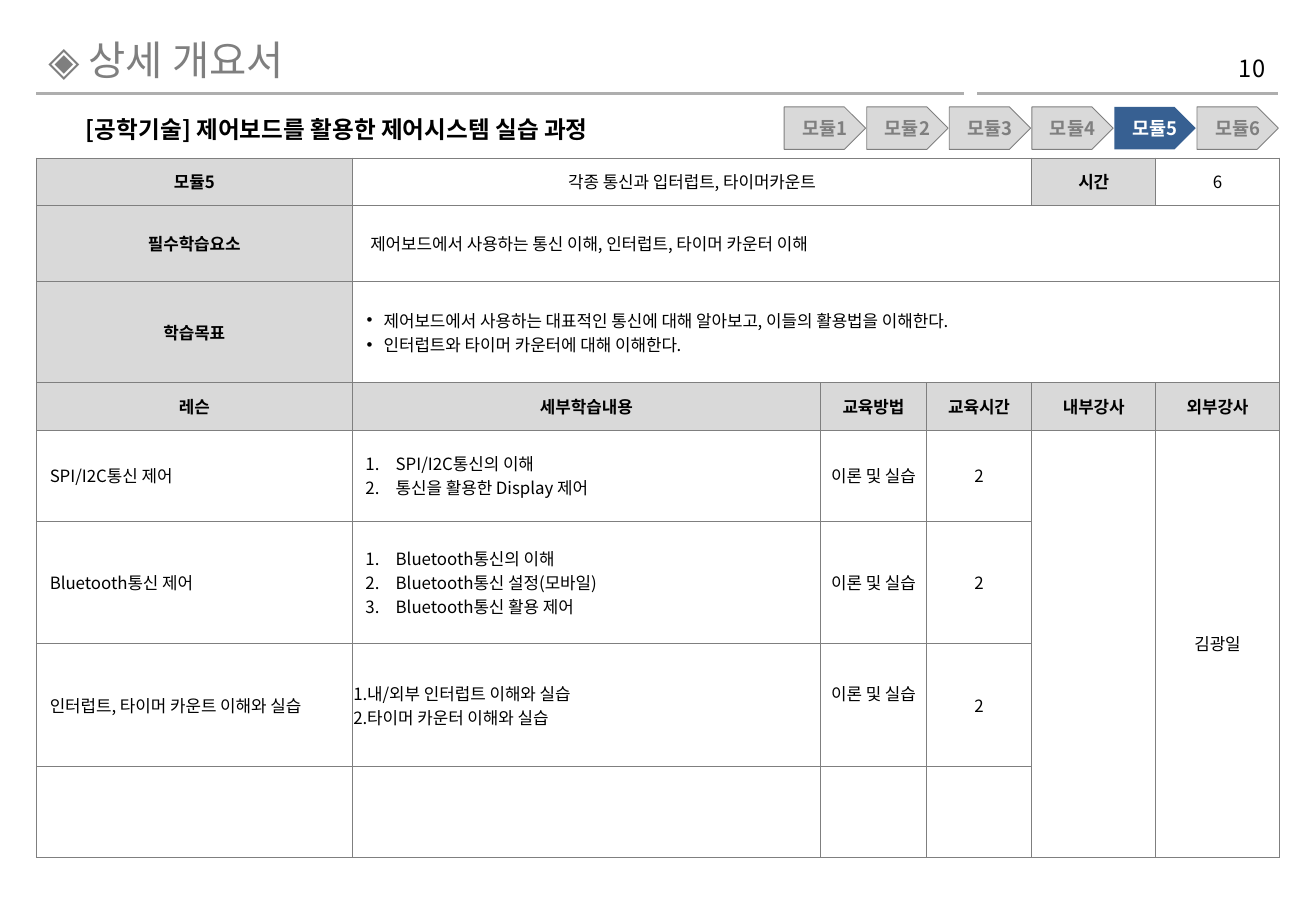
from lxml.etree import SubElement
from pptx import Presentation
from pptx.dml.color import RGBColor
from pptx.enum.shapes import MSO_CONNECTOR, MSO_SHAPE
from pptx.enum.text import MSO_ANCHOR, PP_ALIGN
from pptx.oxml.ns import qn
from pptx.util import Inches, Pt

FONT = "Noto Sans CJK KR"
BLACK, WHITE, GRAY, LIGHT, BLUE = "000000", "FFFFFF", "7F7F7F", "D9D9D9", "376092"
COLS = [2.6, 3.86, 0.87, 0.87, 1.02, 1.02]
ROWS = [0.39, 0.63, 0.83, 0.39, 0.75, 1.01, 1.01, 0.75]
MERGES = [(0, 1, 0, 3), (1, 1, 1, 5), (2, 1, 2, 5), (4, 4, 7, 4), (4, 5, 7, 5)]
INDENTS = {"plain": (0.1, 0), "element": (0.14, 0), "bullet": (0.25, -0.14),
           "number": (0.35, -0.25), "tight": (0, 0)}
METHOD = "이론 및 실습"
CELLS = [
    (0, 0, "head", ["모듈5"]),
    (0, 1, "center", ["각종 통신과 입터럽트, 타이머카운트"]),
    (0, 4, "head", ["시간"]),
    (0, 5, "center", ["6"]),
    (1, 0, "head", ["필수학습요소"]),
    (1, 1, "element", ["제어보드에서 사용하는 통신 이해, 인터럽트, 타이머 카운터 이해"]),
    (2, 0, "head", ["학습목표"]),
    (2, 1, "bullet", ["제어보드에서 사용하는 대표적인 통신에 대해 알아보고, 이들의 활용법을 이해한다.",
                      "인터럽트와 타이머 카운터에 대해 이해한다."]),
    (4, 5, "center", ["김광일"]),
]
HEADINGS = ["레슨", "세부학습내용", "교육방법", "교육시간", "내부강사", "외부강사"]
LESSONS = [
    ("SPI/I2C통신 제어", "number", ["SPI/I2C통신의 이해", "통신을 활용한 Display 제어"]),
    ("Bluetooth통신 제어", "number",
     ["Bluetooth통신의 이해", "Bluetooth통신 설정(모바일)", "Bluetooth통신 활용 제어"]),
    ("인터럽트, 타이머 카운트 이해와 실습", "tight",
     ["내/외부 인터럽트 이해와 실습", "타이머 카운터 이해와 실습"]),
]


def rgb(color):
    return RGBColor.from_string(color)


def add_run(p, text, size, color=BLACK, bold=False):
    r = p.add_run()
    r.text = text
    r.font.name = FONT
    r.font.size = Pt(size)
    r.font.bold = bold
    r.font.color.rgb = rgb(color)
    SubElement(r._r.get_or_add_rPr(), qn("a:ea"), typeface=FONT)


def add_text(s, box, text, size, color=BLACK, bold=False, align=PP_ALIGN.LEFT):
    tf = s.shapes.add_textbox(*map(Inches, box)).text_frame
    tf.word_wrap = True
    tf.vertical_anchor = MSO_ANCHOR.MIDDLE
    p = tf.paragraphs[0]
    p.alignment = align
    add_run(p, text, size, color, bold)


def add_rule(s, left, right):
    y = Inches(0.77)
    line = s.shapes.add_connector(MSO_CONNECTOR.STRAIGHT, Inches(left), y, Inches(right), y)
    line.line.color.rgb = rgb("AEAEAE")
    line.line.width = Pt(2)
    SubElement(line._element.spPr, qn("a:effectLst"))


def add_module(s, number, active):
    left = 6.46 + 0.68 * (number - 1)
    sp = s.shapes.add_shape(MSO_SHAPE.PENTAGON, Inches(left), Inches(0.88),
                            Inches(0.67), Inches(0.35))
    sp.shadow.inherit = False
    sp.fill.solid()
    sp.fill.fore_color.rgb = rgb(BLUE if active else LIGHT)
    if active:
        sp.line.fill.background()
    else:
        sp.line.color.rgb = rgb(GRAY)
        sp.line.width = Pt(0.5)
    tf = sp.text_frame
    tf.word_wrap = True
    tf.vertical_anchor = MSO_ANCHOR.MIDDLE
    tf.margin_right = Inches(0.01)
    p = tf.paragraphs[0]
    p.alignment = PP_ALIGN.CENTER
    add_run(p, f"모듈{number}", 11, WHITE if active else GRAY, True)


def set_borders(cell):
    tcPr = cell._tc.get_or_add_tcPr()
    for side in ("lnL", "lnR", "lnT", "lnB"):
        ln = SubElement(tcPr, qn(f"a:{side}"), w=str(Pt(0.45)))
        fill = SubElement(ln, qn("a:solidFill"))
        SubElement(fill, qn("a:srgbClr"), val=GRAY)


def set_indent(p, style):
    pPr = p._p.get_or_add_pPr()
    left, first = INDENTS[style]
    pPr.set("marL", str(Inches(left)))
    pPr.set("indent", str(Inches(first)))
    if style == "bullet":
        SubElement(pPr, qn("a:buFont"), typeface="Arial")
        SubElement(pPr, qn("a:buChar"), char="•")
    elif style in ("number", "tight"):
        SubElement(pPr, qn("a:buFont"), typeface=FONT)
        SubElement(pPr, qn("a:buAutoNum"), type="arabicPeriod")


def fill_cell(cell, style, lines):
    if style == "head":
        cell.fill.fore_color.rgb = rgb(LIGHT)
    tf = cell.text_frame
    for i, text in enumerate(lines):
        p = tf.add_paragraph() if i else tf.paragraphs[0]
        if style in INDENTS:
            set_indent(p, style)
        else:
            p.alignment = PP_ALIGN.CENTER
        add_run(p, text, 10, bold=style == "head")


def add_outline_table(s):
    table = s.shapes.add_table(len(ROWS), len(COLS), Inches(0.3), Inches(1.3),
                               Inches(sum(COLS)), Inches(sum(ROWS))).table
    table.first_row = table.horz_banding = False
    for column, width in zip(table.columns, COLS):
        column.width = Inches(width)
    for row, height in zip(table.rows, ROWS):
        row.height = Inches(height)
    for cell in table.iter_cells():
        set_borders(cell)
        cell.fill.solid()
        cell.fill.fore_color.rgb = rgb(WHITE)
        cell.vertical_anchor = MSO_ANCHOR.MIDDLE
        cell.margin_left = cell.margin_right = Inches(0.01)
        cell.margin_top = cell.margin_bottom = Inches(0.05)
    for top, left, bottom, right in MERGES:
        table.cell(top, left).merge(table.cell(bottom, right))
    for row, col, style, lines in CELLS:
        fill_cell(table.cell(row, col), style, lines)
    for col, heading in enumerate(HEADINGS):
        fill_cell(table.cell(3, col), "head", [heading])
    for row, (lesson, style, topics) in enumerate(LESSONS, 4):
        fill_cell(table.cell(row, 0), "plain", [lesson])
        fill_cell(table.cell(row, 1), style, topics)
        fill_cell(table.cell(row, 2), "center", [METHOD])
        fill_cell(table.cell(row, 3), "center", ["2"])
    table.cell(6, 2).margin_bottom = Inches(0.25)


def main():
    prs = Presentation()
    prs.slide_width, prs.slide_height = Inches(10.84), Inches(7.5)
    s = prs.slides.add_slide(prs.slide_layouts[6])
    add_rule(s, 0.3, 7.94)
    add_rule(s, 8.05, 10.53)
    add_text(s, (9.98, 0.36, 0.54, 0.4), "10", 14, align=PP_ALIGN.RIGHT)
    add_text(s, (0.61, 0.88, 4.85, 0.36),
             "[공학기술] 제어보드를 활용한 제어시스템 실습 과정", 14, bold=True)
    add_outline_table(s)
    add_text(s, (0.3, 0.21, 7.52, 0.56), "◈ 상세 개요서", 24, GRAY)
    for number in range(1, 7):
        add_module(s, number, number == 5)
    prs.save("out.pptx")


if __name__ == "__main__":
    main()
